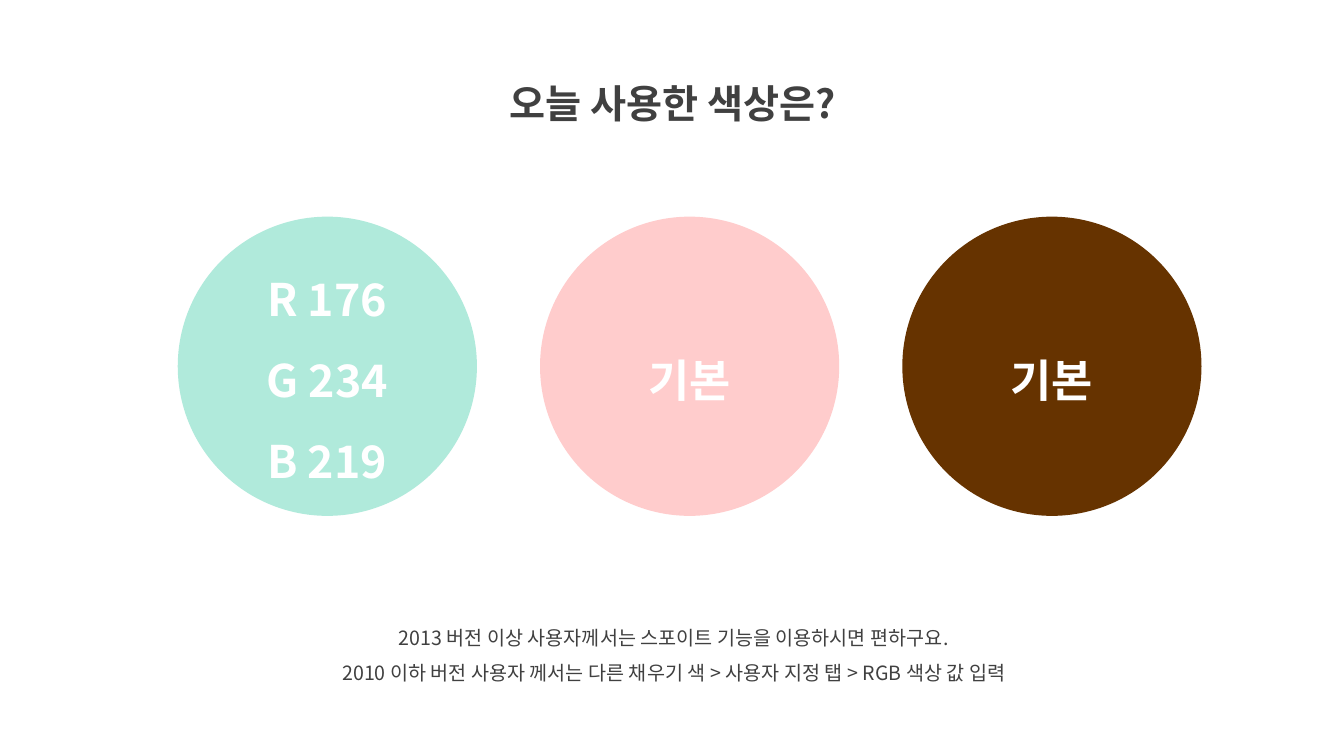
from pptx import Presentation
from pptx.dml.color import RGBColor as Rgb
from pptx.enum.shapes import MSO_SHAPE as Shape
from pptx.enum.text import MSO_ANCHOR as Anchor, MSO_AUTO_SIZE as Fit, PP_ALIGN as Align
from pptx.oxml.ns import qn
from pptx.util import Cm, Pt
from lxml.etree import SubElement as Sub

HUES = {"mint": "B0EADB", "pink": "FFCCCC", "brown": "663300", "ink": "404040", "white": "FFFFFF"}
FACE = "Noto Sans CJK KR"


class Deck:
    def __init__(self):
        self.file = Presentation()
        self.file.slide_width, self.file.slide_height = Cm(33.87), Cm(19.05)
        self.page = self.file.slides.add_slide(self.file.slide_layouts[5])

    def label(self, shape, text, size, hue, bold, anchor, fit):
        frame = shape.text_frame
        frame.text = text
        frame.word_wrap = True
        frame.auto_size = fit
        frame.vertical_anchor = anchor
        for para in frame.paragraphs:
            para.alignment = Align.CENTER
            para.line_spacing = 1.5
            for run in para.runs:
                font = run.font
                font.size, font.bold, font.name = Pt(size), bold, FACE
                font.color.rgb = Rgb.from_string(HUES[hue])
                Sub(run._r.get_or_add_rPr(), qn("a:ea"), typeface=FACE)

    def title(self, text, left, top, width, height):
        head = self.page.shapes.title
        head.left, head.top, head.width, head.height = map(Cm, (left, top, width, height))
        self.label(head, text, 28, "ink", True, Anchor.TOP, Fit.SHAPE_TO_FIT_TEXT)

    def note(self, text, left, top, width, height):
        box = self.page.shapes.add_textbox(*map(Cm, (left, top, width, height)))
        self.label(box, text, 14, "ink", False, Anchor.TOP, Fit.SHAPE_TO_FIT_TEXT)

    def disc(self, text, hue, left, top, size):
        disc = self.page.shapes.add_shape(Shape.OVAL, *map(Cm, (left, top, size, size)))
        disc.shadow.inherit = False
        disc.fill.solid()
        disc.fill.fore_color.rgb = Rgb.from_string(HUES[hue])
        disc.line.fill.background()
        self.label(disc, text, 32, "white", True, Anchor.MIDDLE, Fit.NONE)


def main():
    deck = Deck()
    deck.title("오늘 사용한 색상은?", 11.07, 1.27, 11.76, 2.03)
    deck.note(
        "2013 버전 이상 사용자께서는 스포이트 기능을 이용하시면 편하구요.\n"
        "2010 이하 버전 사용자 께서는 다른 채우기 색 > 사용자 지정 탭 > RGB 색상 값 입력",
        6.83, 15.34, 20.3, 2.03)
    discs = [("R 176\nG 234\nB 219", "mint"), ("기본", "pink"), ("기본", "brown")]
    for spot, (text, hue) in enumerate(discs):
        deck.disc(text, hue, 4.48 + spot * 9.13, 5.46, 7.54)
    deck.file.save("out.pptx")


if __name__ == "__main__":
    main()
